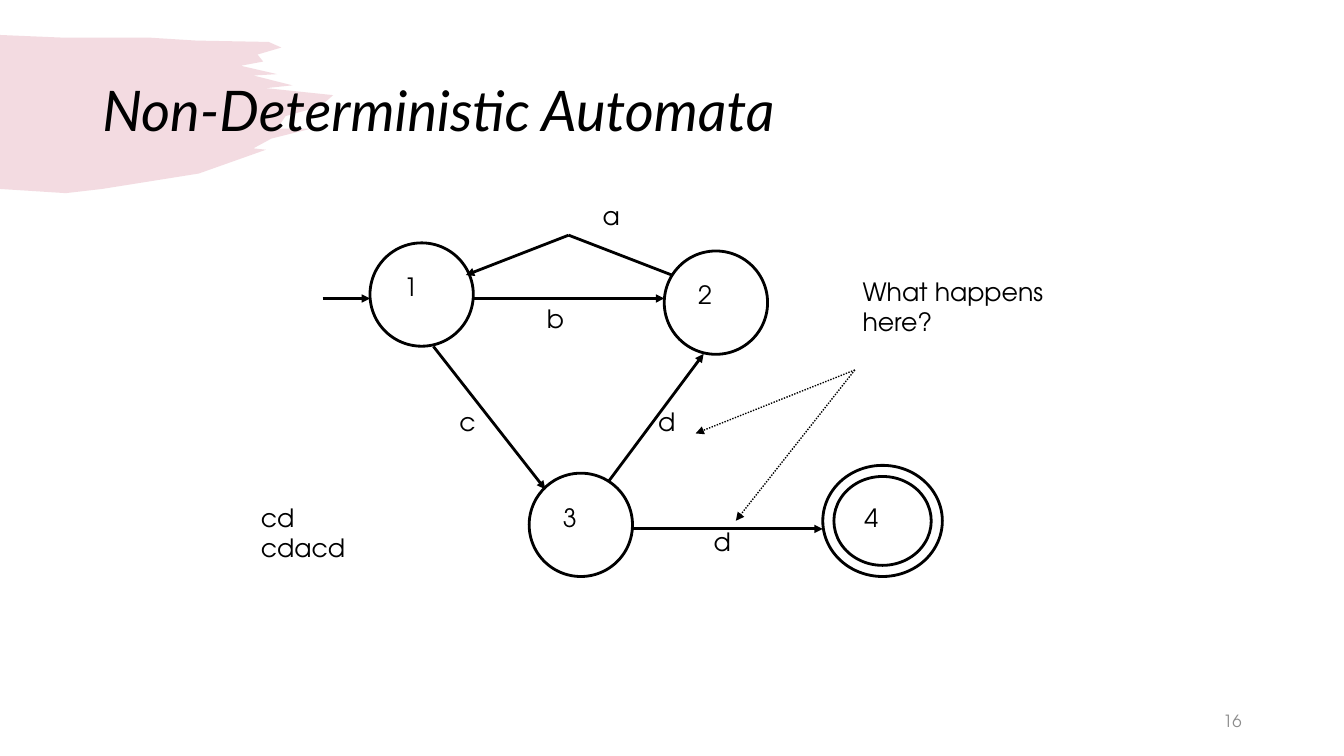
from lxml import etree
from pptx import Presentation
from pptx import util as u
from pptx.dml.color import RGBColor
from pptx.enum import dml, shapes, text
from pptx.oxml import ns

Pt = u.Pt
BLACK = RGBColor(0x00, 0x00, 0x00)
GREY = RGBColor(0x8C, 0x8C, 0x8C)
ROSE = RGBColor(0xC3, 0x4D, 0x6C)
SHAPE, ALIGN = shapes.MSO_SHAPE, text.PP_ALIGN

# Brush stroke outline, in points
BRUSH = [
    (0, 25), (47, 27), (108, 27), (140, 29), (192, 30), (201, 34), (184, 39),
    (188, 44), (172, 47), (198, 53), (181, 54), (209, 61), (190, 63), (238, 68),
    (229, 76), (204, 83), (198, 92), (222, 92), (194, 99), (181, 106), (190, 107),
    (142, 124), (73, 135), (47, 138), (0, 135),
]


class Board:
    body_font, title_font = "TeX Gyre Adventor", "Lato"
    hang = 27

    def __init__(self, prs):
        self.slide = prs.slides.add_slide(prs.slide_layouts[6])

    def stroke(self, outline, color, alpha):
        first, *rest = [(Pt(x), Pt(y)) for x, y in outline]
        fb = self.slide.shapes.build_freeform(*first)
        fb.add_line_segments(rest, close=True)
        sp = fb.convert_to_shape()
        sp.shadow.inherit = False
        sp.line.fill.background()
        sp.fill.solid()
        sp.fill.fore_color.rgb = color
        clr = sp._element.spPr.find(".//" + ns.qn("a:srgbClr"))
        etree.SubElement(clr, ns.qn("a:alpha"), val=str(alpha * 1000))

    def state(self, name, x, y, w=73.8, h=73.8, inset=17, accepting=False):
        kind = SHAPE.DONUT if accepting else SHAPE.OVAL
        sp = self.slide.shapes.add_shape(kind, Pt(x), Pt(y), Pt(w), Pt(h))
        if accepting:
            sp.adjustments[0] = 0.1
        sp.shadow.inherit = False
        sp.fill.background()
        sp.line.color.rgb = BLACK
        sp.line.width = Pt(2)
        self.label(x + inset, y + inset, name)

    def line(self, x1, y1, x2, y2, arrow=True, dotted=False):
        cx = self.slide.shapes.add_connector(
            shapes.MSO_CONNECTOR.STRAIGHT, Pt(x1), Pt(y1), Pt(x2), Pt(y2))
        cx.line.color.rgb = BLACK
        cx.line.width = Pt(1 if dotted else 2)
        if dotted:
            cx.line.dash_style = dml.MSO_LINE.ROUND_DOT
        if arrow:
            ln = cx._element.spPr.find(ns.qn("a:ln"))
            etree.SubElement(ln, ns.qn("a:tailEnd"), type="triangle")
        etree.SubElement(cx._element.spPr, ns.qn("a:effectLst"))

    def text(self, x, y, w, h, lines, size=18, font=body_font, color=BLACK, italic=False,
             align=ALIGN.LEFT, spacing=None, middle=False, hang=0, wrap=True):
        tf = self.slide.shapes.add_textbox(Pt(x), Pt(y), Pt(w), Pt(h)).text_frame
        tf.word_wrap = wrap
        if middle:
            tf.vertical_anchor = text.MSO_ANCHOR.MIDDLE
        else:
            tf.auto_size = text.MSO_AUTO_SIZE.SHAPE_TO_FIT_TEXT
        for i, words in enumerate(lines):
            p = tf.add_paragraph() if i else tf.paragraphs[0]
            p.alignment = align
            if spacing:
                p.line_spacing = spacing
            if hang:
                pPr = p._p.get_or_add_pPr()
                pPr.set("marL", str(Pt(hang)))
                pPr.set("indent", str(-Pt(hang)))
            r = p.add_run()
            r.text = words
            r.font.name, r.font.size, r.font.italic = font, Pt(size), italic
            r.font.color.rgb = color

    def label(self, x, y, words):
        self.text(x, y, 35.3, 28.8, [words], hang=self.hang)

    def note(self, x, y, w, lines):
        self.text(x, y, w, 51, lines, hang=self.hang, wrap=False)


def main():
    prs = Presentation()
    prs.slide_width, prs.slide_height = Pt(960), Pt(540)
    s = Board(prs)

    # Brush stroke, title and page number
    s.stroke(BRUSH, ROSE, 20)
    s.text(66, 28.8, 828, 104.4, ["Non-Deterministic Automata"], size=40,
           font=s.title_font, italic=True, spacing=0.9, middle=True)
    s.text(678, 500.5, 216, 28.8, ["16"], size=12, color=GREY, align=ALIGN.RIGHT, middle=True)

    # States; the accepting one has a double ring
    s.state("1", 264.3, 173.5)
    s.state("2", 474.5, 179.3)
    s.state("3", 378, 338)
    s.state("4", 587.7, 332.4, 85.4, 79.4, inset=22.7, accepting=True)

    # Transitions
    for ends in ((230.4, 213.2, 264.4, 213.2), (338.4, 213.2, 474.5, 213.2),
                 (309.6, 247.5, 389.5, 349.5), (435, 343.5, 502.6, 252.8),
                 (451.6, 377.8, 587.7, 377.8), (406.2, 168, 332.8, 196.5)):
        s.line(*ends)
    s.line(480, 196.5, 406.2, 168, arrow=False)

    # Transition names
    for name, x, y in (("a", 423.4, 139.7), ("b", 383.6, 213.2), ("c", 321, 287),
                       ("d", 463, 287), ("d", 502.6, 372.2)):
        s.label(x, y, name)

    # Question with its pointers, and sample words
    for x, y in ((496.9, 309.6), (525.6, 372)):
        s.line(610.6, 264.3, x, y, dotted=True)
    s.note(609, 193.7, 144.7, ["What happens", "here?"])
    s.note(179.3, 355, 75.6, ["cd", "cdacd"])

    prs.save("out.pptx")


if __name__ == "__main__":
    main()
